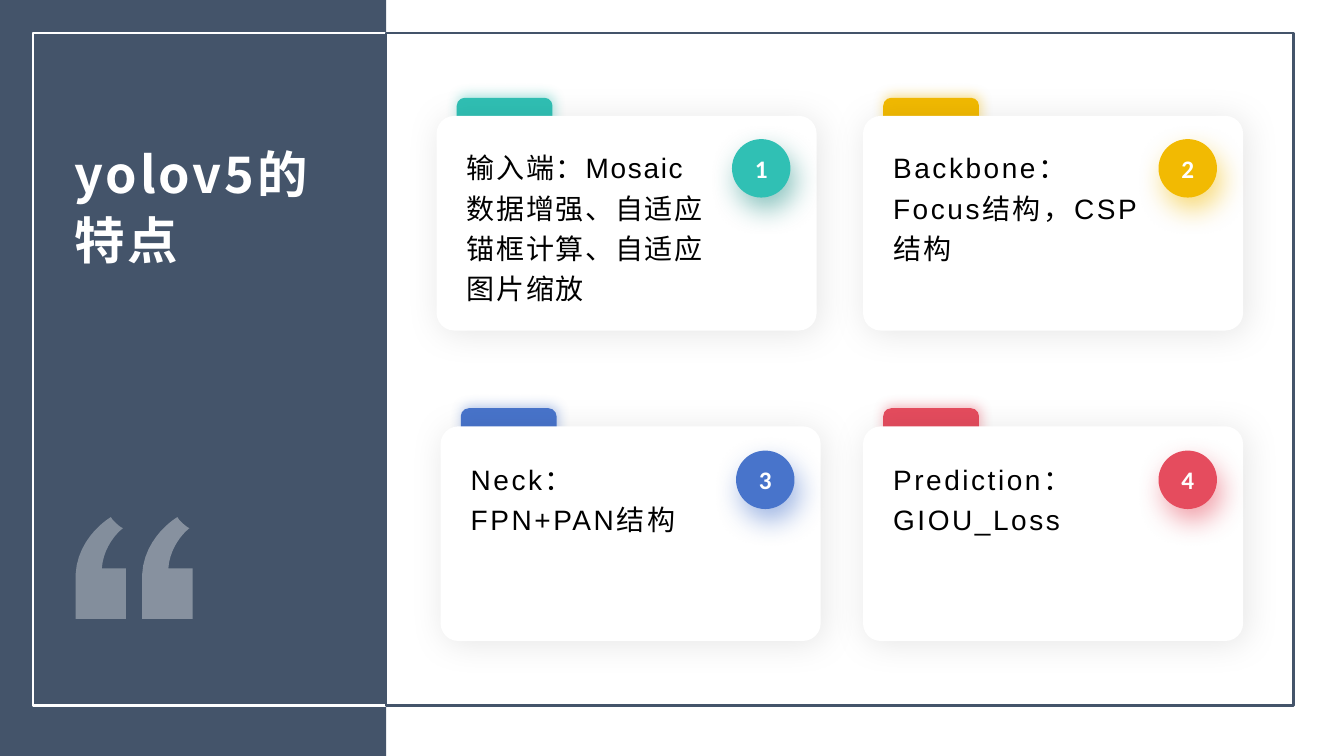
from pptx import Presentation
from pptx.dml.color import RGBColor as RGB
from pptx.enum.shapes import MSO_SHAPE as Kind
from pptx.enum.text import MSO_ANCHOR as Anchor, PP_ALIGN as Align
from pptx.oxml.ns import qn
from pptx.util import Pt
from lxml.etree import SubElement as Sub

PX = 9144
HEX = {
    "navy": "44546A", "white": "FFFFFF", "black": "000000", "teal": "30C0B4",
    "gold": "F2BA02", "blue": "4874CB", "red": "E54C5E", "pine": "249087",
}
SANS = "Noto Sans CJK SC"
CARDS = [
    (433, 115, 138, "teal", "pine", 1.2, "输入端：Mosaic数据增强、自适应锚框计算、自适应图片缩放"),
    (856, 115, 138, "gold", "gold", 1.8, "Backbone：Focus结构，CSP结构"),
    (437, 423, 447, "blue", "blue", 1.8, "Neck：FPN+PAN结构"),
    (856, 423, 447, "red", "red", 1.8, "Prediction：GIOU_Loss"),
]


def emu(*nums):
    return [n * PX for n in nums]


def rgb(name):
    return RGB.from_string(HEX[name])


def tint(node, name, alpha):
    clr = node if node.tag == qn("a:srgbClr") else Sub(node, qn("a:srgbClr"), val=HEX[name])
    Sub(clr, qn("a:alpha"), val=str(alpha * 1000))


def shade(shape, name, alpha, blur, dist, angle):
    fx = shape._element.spPr.find(qn("a:effectLst"))
    node = Sub(fx, qn("a:outerShdw"), blurRad=str(Pt(blur)), dist=str(Pt(dist)),
               dir=str(angle * 60000), algn="ctr", rotWithShape="0")
    tint(node, name, alpha)


def paint(shape, fill=None, line=None):
    shape.shadow.inherit = False
    if fill:
        shape.fill.solid()
        shape.fill.fore_color.rgb = rgb(fill)
    else:
        shape.fill.background()
    if line:
        shape.line.color.rgb = rgb(line)
        shape.line.width = Pt(1.5)
    else:
        shape.line.fill.background()


def block(slide, kind, box, fill=None, line=None, glow=None):
    shape = slide.shapes.add_shape(kind, *emu(*box))
    paint(shape, fill, line)
    if kind == Kind.ROUNDED_RECTANGLE:
        shape.adjustments[0] = 0.083
    if glow:
        shade(shape, *glow)
    return shape


def write(shape, text, size, font="Arial", color="black", bold=False,
          gap=0, lead=None, after=None, align=Align.LEFT, anchor=Anchor.TOP):
    frame = shape.text_frame
    frame.word_wrap = True
    frame.vertical_anchor = anchor
    para = frame.paragraphs[0]
    para.alignment = align
    para.line_spacing = lead
    if after:
        para.space_after = Pt(after)
    run = para.add_run()
    run.text = text
    run.font.size = Pt(size)
    run.font.name = font
    run.font.bold = bold
    run.font.color.rgb = rgb(color)
    props = run.font._element
    if gap:
        props.set("spc", str(round(gap * 100)))
    Sub(props, qn("a:ea"), typeface=SANS)


def curve(start, one, two, end, steps=12):
    for i in range(1, steps + 1):
        t = i / steps
        u = 1 - t
        yield tuple(u**3 * a + 3 * u * u * t * b + 3 * u * t * t * c + t**3 * d
                    for a, b, c, d in zip(start, one, two, end))


def quote(slide, left, alpha):
    pts = [(50, 101), (0, 101), (0, 57)]
    pts += curve((0, 57), (2, 19), (35, 0), (35, 0))
    pts += [(37, 3)]
    pts += curve((37, 3), (39, 5), (42, 8), (45, 10))
    pts += [(47, 11)]
    pts += curve((47, 11), (47, 11), (28, 25), (26, 51))
    pts += [(50, 51)]
    spots = [(round((left + x) * PX), round((513 + y) * PX)) for x, y in pts]
    pen = slide.shapes.build_freeform(*spots[0], scale=1.0)
    pen.add_line_segments(spots[1:], close=True)
    mark = pen.convert_to_shape()
    paint(mark, "white")
    clr = mark._element.spPr.find(qn("a:solidFill")).find(qn("a:srgbClr"))
    tint(clr, "white", alpha)


def card(slide, num, left, top, head, color, dark, gap, text):
    block(slide, Kind.ROUNDED_RECTANGLE, (left + 20, top - 18, 95, 95), color,
          glow=(color, 40, 9, 2, 300))
    block(slide, Kind.ROUNDED_RECTANGLE, (left, top, 377, 213), "white",
          glow=("black", 10, 25, 3, 45))
    body = slide.shapes.add_textbox(*emu(left + 20, head, 263, 174))
    write(body, text, 20, gap=gap, lead=1.2, after=8)
    disc = block(slide, Kind.OVAL, (left + 293, head, 58, 58), color,
                 glow=(dark, 52, 20, 9, 67))
    write(disc, str(num), 18, font="Calibri", color="white", bold=True,
          align=Align.CENTER, anchor=Anchor.MIDDLE)


def main():
    deck = Presentation()
    deck.slide_width, deck.slide_height = emu(1333, 750)
    slide = deck.slides.add_slide(deck.slide_layouts[6])
    block(slide, Kind.RECTANGLE, (0, 0, 383, 750), "navy")
    block(slide, Kind.RECTANGLE, (33, 33, 350, 667), line="white")
    block(slide, Kind.RECTANGLE, (383, 33, 900, 667), line="navy")
    quote(slide, 141, 36)
    quote(slide, 75, 34)
    title = slide.shapes.add_textbox(*emu(67, 133, 283, 150))
    frame = title.text_frame
    frame.margin_left = frame.margin_right = 7 * PX
    frame.margin_top = frame.margin_bottom = 3 * PX
    write(title, "yolov5的特点", 36, font=SANS, color="white", bold=True, gap=2, lead=1.1)
    for num, row in enumerate(CARDS, 1):
        card(slide, num, *row)
    deck.save("out.pptx")


if __name__ == "__main__":
    main()
